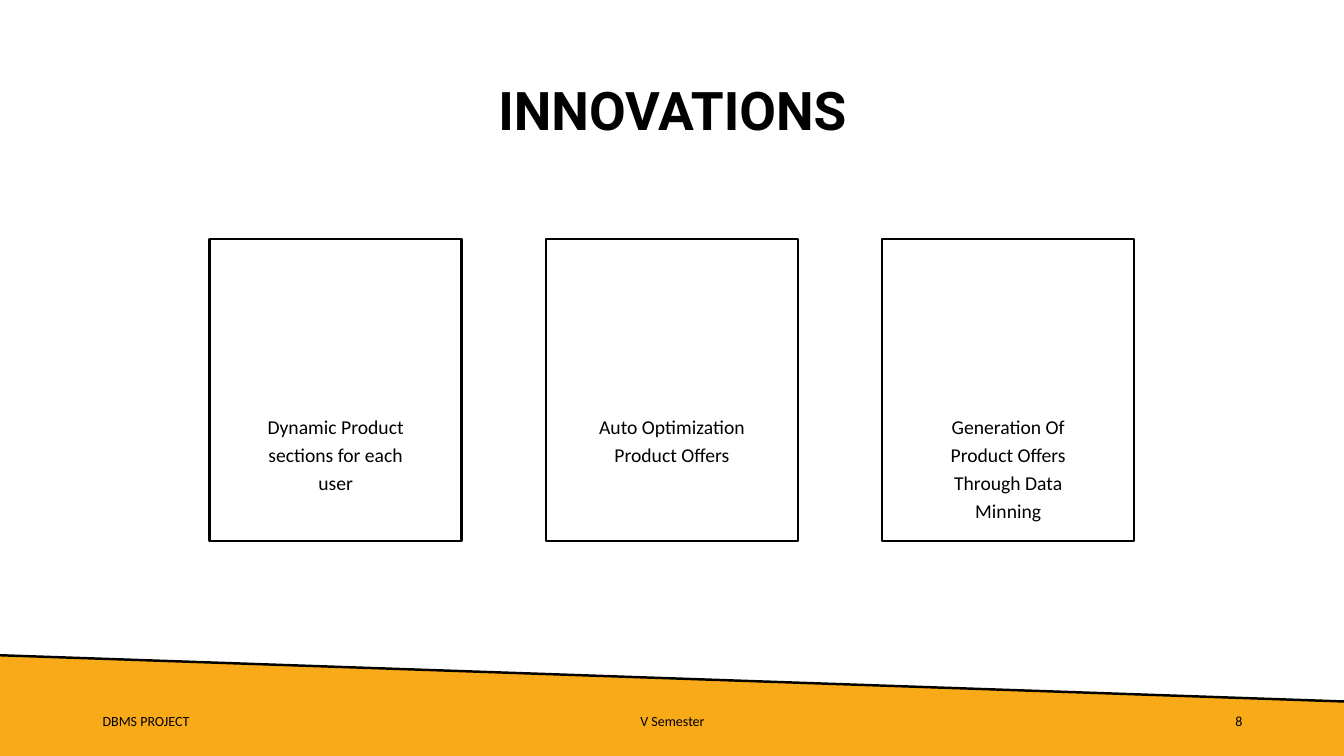
from lxml.etree import SubElement
from pptx import Presentation
from pptx.dml.color import RGBColor
from pptx.enum.shapes import MSO_CONNECTOR, MSO_SHAPE
from pptx.enum.text import MSO_ANCHOR, PP_ALIGN
from pptx.oxml.ns import qn
from pptx.util import Inches, Pt

BLACK = RGBColor(0x00, 0x00, 0x00)
AMBER = RGBColor(0xF9, 0xAA, 0x19)

SLOPE_START = (Inches(-0.01), Inches(6.5))
SLOPE_END = (Inches(13.35), Inches(6.96))

INNOVATIONS = [
    "Dynamic Product sections for each user",
    "Auto Optimization Product Offers",
    "Generation Of Product Offers Through Data Minning",
]
CARD_LEFT, CARD_TOP, CARD_PITCH = 2.08, 2.37, 3.335

FOOTER = [
    ("DBMS PROJECT", 0.92, 3, PP_ALIGN.LEFT),
    ("V Semester", 4.42, 4.5, PP_ALIGN.CENTER),
    ("8", 9.42, 3, PP_ALIGN.RIGHT),
]


def write(frame, text, font, size, align, bold=False):
    frame.word_wrap = True
    frame.text = text
    paragraph = frame.paragraphs[0]
    paragraph.alignment = align
    run_font = paragraph.runs[0].font
    run_font.name = font
    run_font.size = Pt(size)
    run_font.bold = bold
    run_font.color.rgb = BLACK
    return paragraph


def add_label(slide, text, left, top, width, height, font, size, align, bold=False):
    label = slide.shapes.add_textbox(
        Inches(left), Inches(top), Inches(width), Inches(height))
    label.text_frame.vertical_anchor = MSO_ANCHOR.MIDDLE
    return write(label.text_frame, text, font, size, align, bold)


def add_footer_band(slide):
    """Draw the amber band and the black line along its sloping top edge."""
    outline = slide.shapes.build_freeform(*SLOPE_START)
    outline.add_line_segments([
        SLOPE_END,
        (Inches(13.35), Inches(7.53)),
        (Inches(-0.01), Inches(7.5)),
    ])
    band = outline.convert_to_shape()
    band.shadow.inherit = False
    band.fill.solid()
    band.fill.fore_color.rgb = AMBER
    band.line.fill.background()

    edge = slide.shapes.add_connector(
        MSO_CONNECTOR.STRAIGHT, *SLOPE_START, *SLOPE_END)
    edge.line.color.rgb = BLACK
    edge.line.width = Pt(1.75)
    SubElement(edge._element.spPr, qn("a:effectLst"))


def add_card(slide, text, left):
    card = slide.shapes.add_shape(
        MSO_SHAPE.RECTANGLE, Inches(left), Inches(CARD_TOP), Inches(2.5), Inches(3))
    card.shadow.inherit = False
    card.fill.background()
    card.line.color.rgb = BLACK
    card.line.width = Pt(1.75)
    frame = card.text_frame
    frame.vertical_anchor = MSO_ANCHOR.TOP
    frame.margin_left = frame.margin_right = Inches(0.4)
    frame.margin_top = Inches(1.7)
    frame.margin_bottom = Inches(0.05)
    write(frame, text, "Calibri", 14, PP_ALIGN.CENTER).line_spacing = Pt(20)


def main():
    deck = Presentation()
    deck.slide_width = Inches(13.33)
    deck.slide_height = Inches(7.5)
    slide = deck.slides.add_slide(deck.slide_layouts[6])

    add_footer_band(slide)
    title = add_label(slide, "INNOVATIONS", 0.92, 0.4, 11.5, 1.45,
                      "Roboto", 38, PP_ALIGN.CENTER, bold=True)
    title.line_spacing = 0.9
    for index, innovation in enumerate(INNOVATIONS):
        add_card(slide, innovation, CARD_LEFT + index * CARD_PITCH)
    for text, left, width, align in FOOTER:
        add_label(slide, text, left, 6.95, width, 0.4, "Calibri", 10, align)

    deck.save("out.pptx")


if __name__ == "__main__":
    main()
